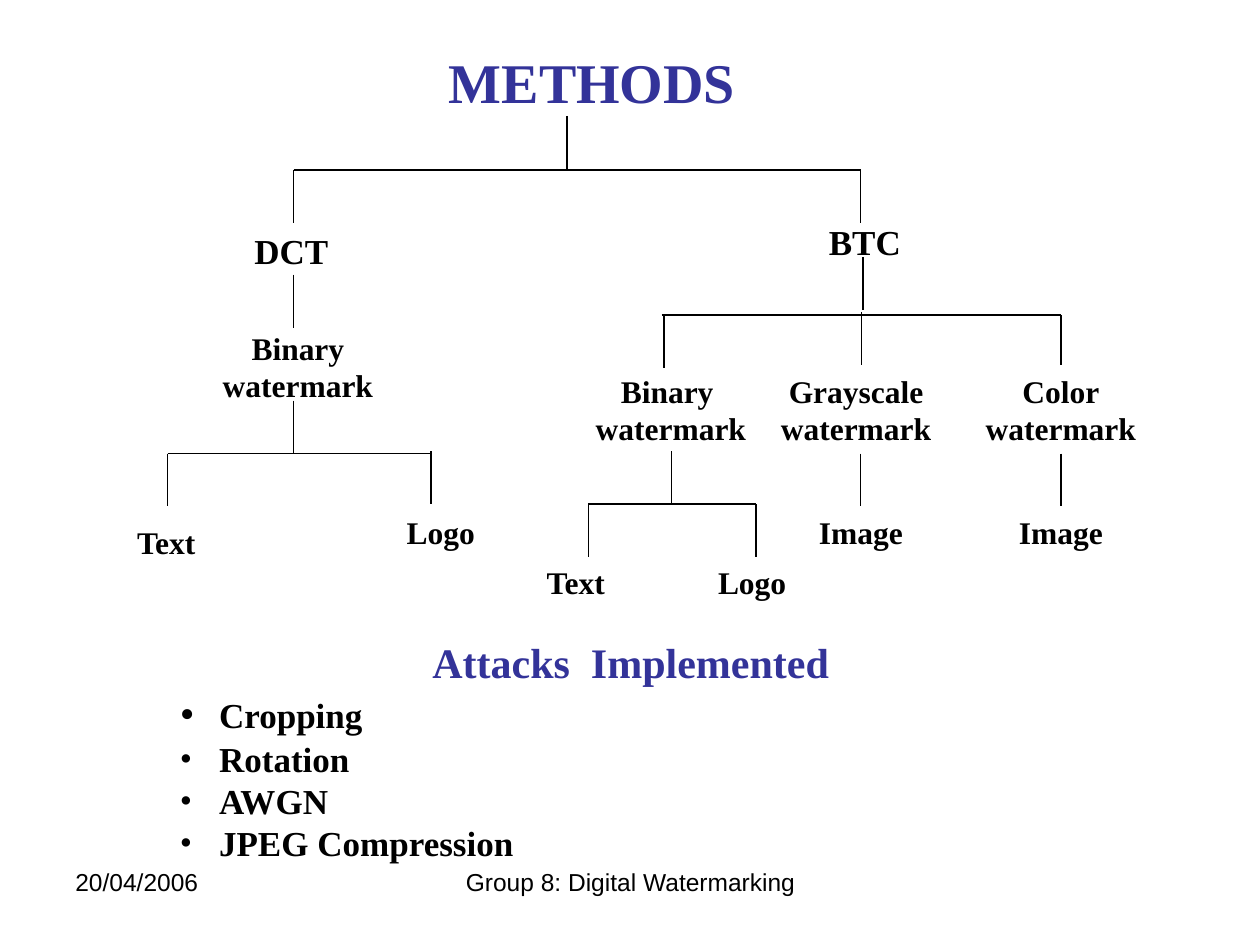
from lxml import etree
from pptx import Presentation
from pptx.dml.color import RGBColor
from pptx.enum.shapes import MSO_CONNECTOR
from pptx.enum.text import MSO_ANCHOR, PP_ALIGN
from pptx.oxml.ns import qn
from pptx.util import Inches, Pt

STRAIGHT = MSO_CONNECTOR.STRAIGHT
LEFT, CENTER = PP_ALIGN.LEFT, PP_ALIGN.CENTER
MIDDLE = MSO_ANCHOR.MIDDLE
TOP_SIDE, BOTTOM_SIDE = 0, 2
SERIF, SANS = "Times New Roman", "Arial"
BLACK, INDIGO = "000000", "333399"
LABEL_HEIGHT, PAIR_HEIGHT, BRANCH_HEIGHT = 0.4, 0.7, 0.44
DROP = 0.42


def set_color(target, value):
    target.rgb = RGBColor.from_string(value)


def indent(para, margin, first=0):
    properties = para._p.get_or_add_pPr()
    properties.set("marL", str(Inches(margin)))
    properties.set("indent", str(Inches(first)))


def add_bullet(para, percent):
    indent(para, 0.31, -0.31)
    properties = para._p.get_or_add_pPr()
    size = etree.SubElement(properties, qn("a:buSzPct"))
    size.set("val", str(percent * 1000))
    etree.SubElement(properties, qn("a:buFont")).set("typeface", SERIF)
    etree.SubElement(properties, qn("a:buChar")).set("char", "•")


def style(para, size, color=BLACK, name=SERIF, bold=True, align=LEFT):
    para.alignment = align
    para.font.size = Pt(size)
    para.font.name = name
    para.font.bold = bold
    set_color(para.font.color, color)


def add_text(page, box, lines, size, margin=0, **look):
    shape = page.shapes.add_textbox(*map(Inches, box))
    frame = shape.text_frame
    frame.word_wrap = True
    frame.text = "\n".join(lines)
    for para in frame.paragraphs:
        if margin:
            indent(para, margin)
        style(para, size, **look)
    return shape


def add_line(page, x1, y1, x2, y2):
    line = page.shapes.add_connector(STRAIGHT, *map(Inches, (x1, y1, x2, y2)))
    set_color(line.line.color, BLACK)
    line.line.width = Pt(0.75)
    etree.SubElement(line._element.spPr, qn("a:effectLst"))
    return line


def add_drop(page, x, y):
    return add_line(page, x, y, x, y + DROP)


def add_root(page, left, top, width):
    """Draw the title and the fork that leads to both branches."""
    title = add_text(page, (0, 0.18, 9, 0.92), ["METHODS"], 32,
                     margin=0.4, color=INDIGO, align=CENTER)
    title.text_frame.vertical_anchor = MIDDLE
    add_drop(page, left + 2.17, top)
    bar = top + 0.43
    add_line(page, left, bar, left + width, bar)
    for x in (left, left + width):
        add_drop(page, x, bar)


def add_dct_branch(page, left, top):
    add_text(page, (left + 1, top, 1.09, BRANCH_HEIGHT), ["DCT"], 20)
    add_text(page, (left + 0.48, top + 0.79, 1.93, PAIR_HEIGHT),
             ["Binary", "watermark"], 18, align=CENTER)
    for y in (0.41, 1.41):
        add_drop(page, left + 1.41, top + y)
    bar = top + 1.83
    add_line(page, left + 0.41, bar, left + 2.5, bar)
    add_drop(page, left + 0.41, bar)
    add_drop(page, left + 2.5, bar - 0.02)
    add_text(page, (left, top + 2.33, 1.33, LABEL_HEIGHT), ["Text"], 18, margin=0.07)
    add_text(page, (left + 2, top + 2.25, 1.07, LABEL_HEIGHT), ["Logo"], 18, margin=0.21)


def add_btc_branch(page, left, top):
    add_text(page, (left + 2.31, top, 0.9, BRANCH_HEIGHT), ["BTC"], 20)
    add_drop(page, left + 2.68, top + 0.34)
    bar = top + 0.8
    add_line(page, left + 1.08, bar, left + 4.25, bar)

    kinds = {}
    for kind, x, width in (("Binary", 0, 2.25), ("Grayscale", 1.41, 2.43), ("Color", 3.16, 2.18)):
        kinds[kind] = add_text(page, (left + x, top + 1.2, width, PAIR_HEIGHT),
                               [kind, "watermark"], 18, align=CENTER)
    indent(kinds["Binary"].text_frame.paragraphs[1], 0.06)
    add_drop(page, left + 1.1, bar)
    add_drop(page, left + 2.67, bar - 0.02)
    add_drop(page, left + 4.25, bar).end_connect(kinds["Color"], TOP_SIDE)

    add_drop(page, left + 1.16, top + 1.88)
    fork = top + 2.3
    add_line(page, left + 0.5, fork, left + 1.83, fork)
    text_label = add_text(page, (left, fork + DROP, 1, LABEL_HEIGHT), ["Text"], 18, margin=0.07)
    add_text(page, (left + 1.08, fork + DROP, 1.25, LABEL_HEIGHT), ["Logo"], 18, margin=0.35)
    add_drop(page, left + 0.5, fork).end_connect(text_label, TOP_SIDE)
    add_drop(page, left + 1.83, fork)

    add_drop(page, left + 2.66, top + 1.9)
    add_text(page, (left + 2.16, top + 2.32, 1.21, LABEL_HEIGHT), ["Image"], 18, margin=0.07)
    color_image = add_text(page, (left + 3.75, top + 2.32, 1, LABEL_HEIGHT),
                           ["Image"], 18, align=CENTER)
    link = add_drop(page, left + 4.25, top + 1.9)
    link.begin_connect(kinds["Color"], BOTTOM_SIDE)
    link.end_connect(color_image, TOP_SIDE)


def add_attacks(page, box):
    attacks = ["Cropping", "Rotation", "AWGN", "JPEG Compression"]
    shape = add_text(page, box, ["Attacks  Implemented"] + attacks, 20)
    heading, *items = shape.text_frame.paragraphs
    style(heading, 24, INDIGO, align=CENTER)
    items[0].space_before = Pt(4)
    items[0].space_after = Pt(1)
    for number, para in enumerate(items):
        add_bullet(para, 100 if number else 120)
        style(para, 20)


def add_footer(page, top):
    look = {"name": SANS, "bold": False}
    add_text(page, (3.42, top, 3.17, 0.52), ["Group 8: Digital Watermarking"], 14,
             align=CENTER, **look)
    add_text(page, (0.5, top, 2.33, 0.52), ["20/04/2006"], 14, **look)


def main():
    deck = Presentation()
    deck.slide_width, deck.slide_height = Inches(10), Inches(7.5)
    page = deck.slides.add_slide(deck.slide_layouts[6])
    add_root(page, 2.33, 0.92, 4.5)
    add_dct_branch(page, 0.92, 1.77)
    add_btc_branch(page, 4.17, 1.7)
    add_attacks(page, (1.33, 5, 7.35, 2.24))
    add_footer(page, 6.83)
    deck.save("out.pptx")


if __name__ == "__main__":
    main()
